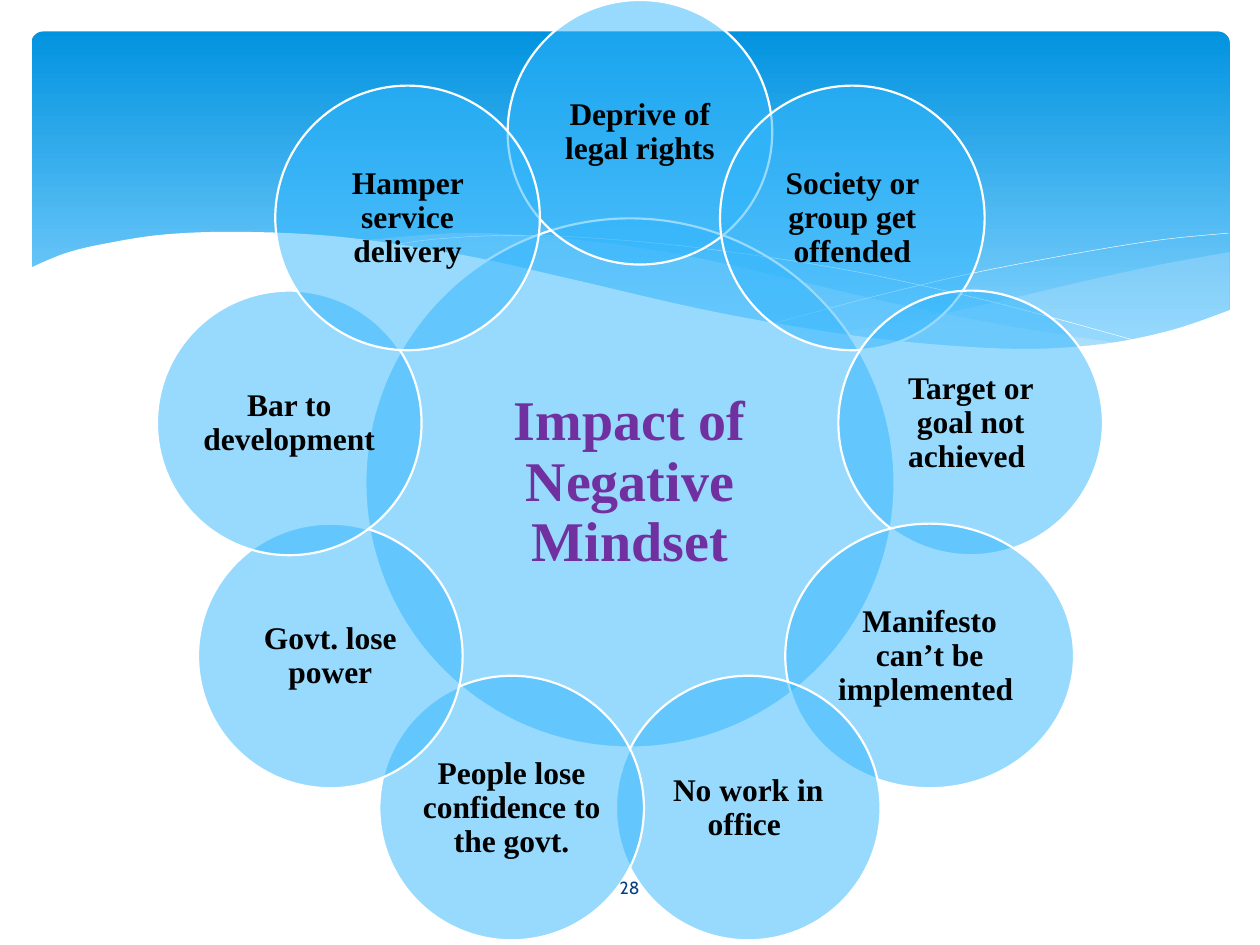
import math
from dataclasses import dataclass

from lxml import etree
from pptx import Presentation
from pptx import util as u
from pptx.dml import color
from pptx.enum import shapes, text
from pptx.oxml import ns

COLORS = {
    "sky_top": "0293E0",
    "sky_bottom": "83D3FE",
    "mist": "C6E7FC",
    "white": "FFFFFF",
    "petal": "31B6FD",
    "heading": "7030A0",
    "label": "000000",
    "number": "073E87",
}
SERIF = "Times New Roman"
CENTER_X, CENTER_Y = 360, 276
ORBIT = 197.7
HUB_SIZE, PETAL_SIZE = 302.4, 151.2
CURVE_STEPS = 6

Point = tuple[float, float]


@dataclass
class Petal:
    label: str
    width: float = PETAL_SIZE
    shift_x: float = 0
    shift_y: float = 0


@dataclass
class Wave:
    edges: list[list[Point]]
    fill: str | None = None
    opacity: int = 100


PETALS = [
    Petal("Deprive of legal rights", shift_x=5.7, shift_y=-2.7),
    Petal("Society or group get offended"),
    Petal("Target or goal not achieved "),
    Petal("Manifesto can’t be implemented ", width=165),
    Petal("No work in office "),
    Petal("People lose confidence to the govt."),
    Petal("Govt. lose power"),
    Petal("Bar to development"),
    Petal("Hamper service delivery"),
]

WAVES = [
    Wave([[(702.7, 144), (663, 151.2), (620, 160.6), (542, 178.6), (476, 190.8)],
          [(476, 190.8), (507.6, 195), (545, 198.7), (586, 200.2), (621.4, 198),
           (657.4, 192.2), (702.7, 177.8)]], "mist", 29),
    Wave([[(643, 196.6), (581, 187.2), (508.3, 172.8), (453, 159.8), (399.6, 147.6),
           (352, 139.7), (302.4, 134.6), (260, 133.2), (206, 137.5)],
          [(206, 137.5), (260.6, 146.2), (323.3, 159.8), (407.5, 178.6), (478.8, 191.5),
           (538.6, 198.7), (589, 200.2), (643, 196.6)]], "mist", 40),
    Wave([[(222.5, 140.4), (247.7, 136.8), (288.7, 134.6), (337.7, 136), (400.3, 141.8),
           (478.8, 153.4), (547.2, 167.8), (598.3, 180.7), (653, 195.8)]]),
    Wave([[(441.4, 185), (500.4, 169.2), (558.7, 155.5), (623.5, 143.3), (665.3, 136.8),
           (702, 133.2)]]),
    Wave([[(16.6, 153.4), (37.4, 144.7), (61.2, 139), (95, 133.9), (139, 132.5),
           (195, 135.4), (262.8, 145.4), (321.8, 158.4), (399.6, 176.4), (466.6, 188.6),
           (522.7, 195.8), (582.5, 199.4), (630, 196.6), (669.6, 188.6), (703.4, 177)],
          [(703.4, 236.9), (16.6, 236.9)]], "white"),
]


def rgb(name: str) -> color.RGBColor:
    return color.RGBColor.from_string(COLORS[name])


def paint(shape, name: str, opacity: int = 100) -> None:
    shape.fill.solid()
    shape.fill.fore_color.rgb = rgb(name)
    if opacity < 100:
        tint = shape.fill._xPr.find(".//" + ns.qn("a:srgbClr"))
        etree.SubElement(tint, ns.qn("a:alpha"), val=str(opacity * 1000))


def outline(shape, width: float) -> None:
    shape.line.color.rgb = rgb("white")
    shape.line.width = u.Pt(width)


def write(shape, words: str, font: str, size: float, ink: str, bold: bool = False) -> None:
    frame = shape.text_frame
    frame.word_wrap = True
    frame.vertical_anchor = text.MSO_ANCHOR.MIDDLE
    frame.text = words
    paragraph = frame.paragraphs[0]
    paragraph.alignment = text.PP_ALIGN.CENTER
    for run in paragraph.runs:
        run.font.name = font
        run.font.size = u.Pt(size)
        run.font.bold = bold
        run.font.color.rgb = rgb(ink)


def smooth(knots: list[Point]) -> list[Point]:
    if len(knots) < 3:
        return knots
    padded = [knots[0], *knots, knots[-1]]
    curve = [knots[0]]
    for a, b, c, d in zip(padded, padded[1:], padded[2:], padded[3:]):
        for step in range(1, CURVE_STEPS + 1):
            t = step / CURVE_STEPS
            curve.append(tuple(
                (2 * q + (r - p) * t + (2 * p - 5 * q + 4 * r - s) * t**2
                 + (3 * q - p - 3 * r + s) * t**3) / 2
                for p, q, r, s in zip(a, b, c, d)))
    return curve


def draw_sky(slide) -> None:
    sky = slide.shapes.add_shape(shapes.MSO_SHAPE.ROUNDED_RECTANGLE,
                                 u.Pt(18), u.Pt(18), u.Pt(684.7), u.Pt(194.4))
    sky.shadow.inherit = False
    sky.adjustments[0] = 0.034
    sky.line.fill.background()
    sky.fill.gradient()
    sky.fill.gradient_angle = 270
    for stop, name, position in zip(sky.fill.gradient_stops, ("sky_top", "sky_bottom"), (0, 0.9)):
        stop.color.rgb = rgb(name)
        stop.position = position


def draw_wave(slide, wave: Wave) -> None:
    points = [(u.Pt(x), u.Pt(y)) for edge in wave.edges for x, y in smooth(edge)]
    builder = slide.shapes.build_freeform(*points[0])
    builder.add_line_segments(points[1:], close=wave.fill is not None)
    shape = builder.convert_to_shape()
    shape.shadow.inherit = False
    if wave.fill:
        paint(shape, wave.fill, wave.opacity)
        shape.line.fill.background()
    else:
        shape.fill.background()
        outline(shape, 0.25)


def draw_circle(slide, x: float, y: float, width: float, height: float,
                words: str, size: float, ink: str, inset: float) -> None:
    circle = slide.shapes.add_shape(shapes.MSO_SHAPE.OVAL, u.Pt(x - width / 2),
                                    u.Pt(y - height / 2), u.Pt(width), u.Pt(height))
    circle.shadow.inherit = False
    paint(circle, "petal", 50)
    outline(circle, 1.25)
    write(circle, words, SERIF, size, ink, bold=True)
    frame = circle.text_frame
    frame.margin_left = frame.margin_right = u.Pt(inset)
    frame.margin_top = frame.margin_bottom = u.Pt(inset)
    frame.paragraphs[0].line_spacing = 0.9


def draw_flower(slide) -> None:
    draw_circle(slide, CENTER_X, CENTER_Y, HUB_SIZE, HUB_SIZE,
                "Impact of Negative Mindset", 32, "heading", 3)
    for index, petal in enumerate(PETALS):
        angle = math.tau * index / len(PETALS)
        draw_circle(slide, CENTER_X + ORBIT * math.sin(angle) + petal.shift_x,
                    CENTER_Y - ORBIT * math.cos(angle) + petal.shift_y,
                    petal.width, PETAL_SIZE, petal.label, 18, "label", 2)


def main() -> None:
    deck = Presentation()
    deck.slide_width, deck.slide_height = u.Pt(720), u.Pt(540)
    slide = deck.slides.add_slide(deck.slide_layouts[6])
    draw_sky(slide)
    for wave in WAVES:
        draw_wave(slide, wave)
    draw_flower(slide)
    page_number = slide.shapes.add_textbox(u.Pt(314), u.Pt(492.5), u.Pt(91.5), u.Pt(28.8))
    write(page_number, "28", "Cabin", 10, "number")
    deck.save("out.pptx")


if __name__ == "__main__":
    main()
